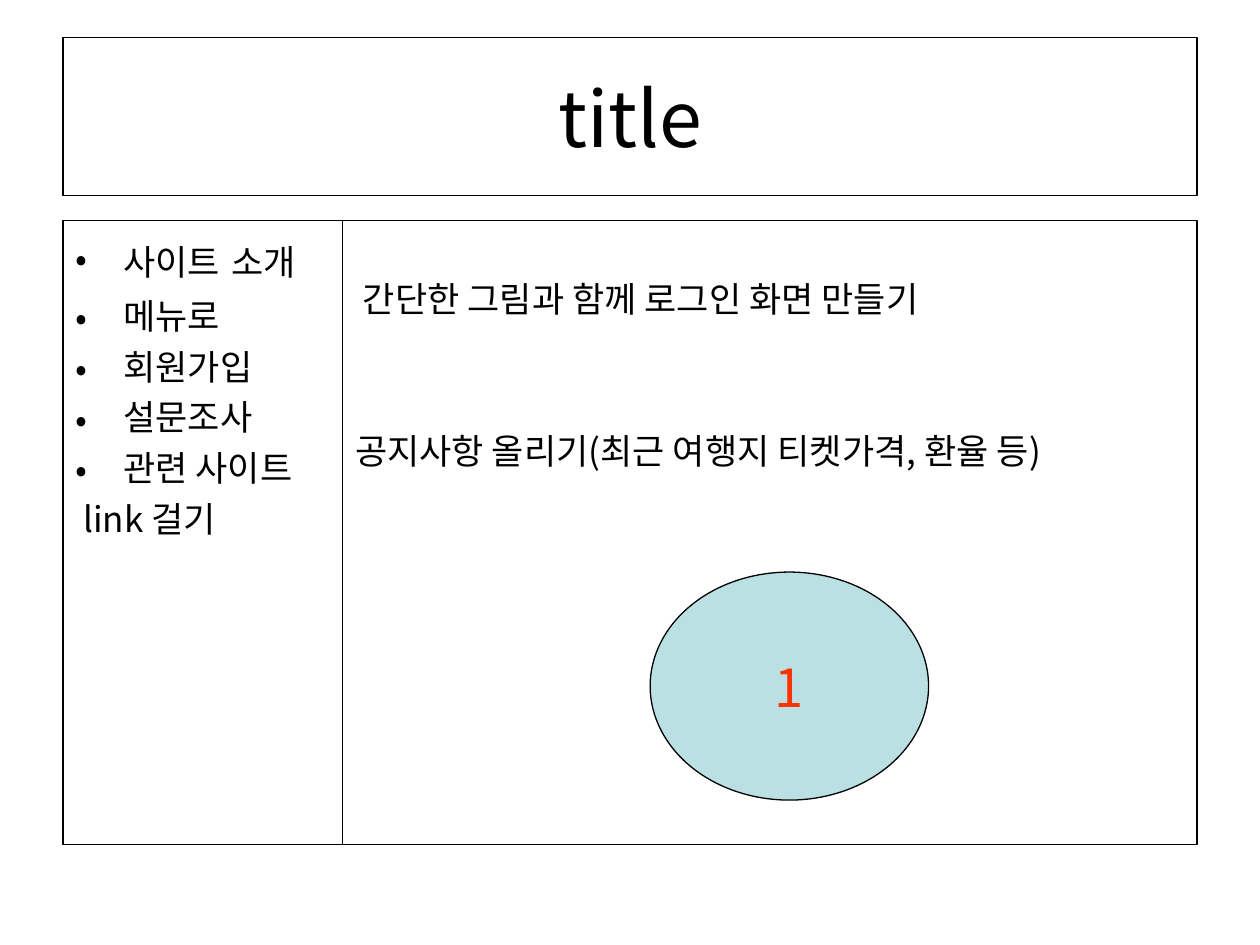
from dataclasses import dataclass

from lxml import etree
from pptx import Presentation
from pptx import util as u
from pptx.dml.color import RGBColor
from pptx.enum import shapes, text
from pptx.oxml import ns


@dataclass(frozen=True)
class Theme:
    font: str = "Noto Sans CJK KR"
    ink: str = "000000"
    accent: str = "FF3300"
    bubble: str = "BBE0E3"
    title_size: float = 44
    number_size: float = 30
    wide_space_size: float = 28
    body_size: float = 20
    border: float = 0.75
    hanging: float = 0.38
    space_before: float = 5


def add_child(parent, tag, **attributes):
    return etree.SubElement(parent, ns.qn(tag), attributes)


class Page:
    def __init__(self, slide, theme):
        self.slide = slide
        self.theme = theme

    def box(self, kind, left, top, width, height, fill=None, **frame_format):
        """Add an outlined shape and return its text frame."""
        shape = self.slide.shapes.add_shape(
            kind, *map(u.Inches, (left, top, width, height)))
        shape.shadow.inherit = False
        if fill:
            shape.fill.solid()
            shape.fill.fore_color.rgb = RGBColor.from_string(fill)
        else:
            shape.fill.background()
        shape.line.color.rgb = RGBColor.from_string(self.theme.ink)
        shape.line.width = u.Pt(self.theme.border)
        settings = {
            "word_wrap": True,
            "vertical_anchor": text.MSO_ANCHOR.TOP,
            "margin_left": u.Inches(0.1),
            "margin_right": u.Inches(0.1),
            "margin_top": u.Inches(0.05),
            "margin_bottom": u.Inches(0.05),
        } | frame_format
        for name, value in settings.items():
            setattr(shape.text_frame, name, value)
        return shape.text_frame

    def span(self, para, words, size, color=None):
        run = para.add_run()
        run.text = words
        for name, value in {"name": self.theme.font, "size": u.Pt(size)}.items():
            setattr(run.font, name, value)
        run.font.color.rgb = RGBColor.from_string(color or self.theme.ink)
        add_child(run.font._element, "a:ea", typeface=self.theme.font)

    def label(self, frame, words, size, color=None):
        para = frame.paragraphs[0]
        para.alignment = text.PP_ALIGN.CENTER
        self.span(para, words, size, color)

    def line(self, frame, spans, bullet=False, space_before=None):
        """Add a hanging paragraph made of (words, size) spans."""
        first = frame.paragraphs[0]
        para = frame.add_paragraph() if first.runs else first
        settings = {
            "alignment": text.PP_ALIGN.LEFT,
            "space_before": u.Pt(space_before or self.theme.space_before),
        }
        for name, value in settings.items():
            setattr(para, name, value)
        hanging = u.Inches(self.theme.hanging)
        properties = para._p.get_or_add_pPr()
        properties.set("marL", str(hanging))
        properties.set("indent", str(-hanging))
        if bullet:
            color = add_child(properties, "a:buClr")
            add_child(color, "a:srgbClr", val=self.theme.ink)
            add_child(properties, "a:buFont", typeface=self.theme.font)
            add_child(properties, "a:buChar", char="•")
        for words, size in spans:
            self.span(para, words, size)


def main():
    theme = Theme()
    deck = Presentation()
    deck.slide_width, deck.slide_height = u.Inches(10), u.Inches(7.5)
    page = Page(deck.slides.add_slide(deck.slide_layouts[6]), theme)
    rectangle, oval = shapes.MSO_SHAPE.RECTANGLE, shapes.MSO_SHAPE.OVAL
    middle = text.MSO_ANCHOR.MIDDLE

    left, width, menu_width = 0.5, 9, 2.22
    panel_top, panel_height = 1.75, 4.95
    body = theme.body_size

    title = page.box(rectangle, left, 0.3, width, 1.25, vertical_anchor=middle)
    page.label(title, "title", theme.title_size)

    menu = page.box(rectangle, left, panel_top, menu_width, panel_height)
    page.line(menu, [("사이트", body), (" ", theme.wide_space_size),
                     ("소개", body)], bullet=True)
    for item in ("메뉴로", "회원가입", "설문조사", "관련 사이트"):
        page.line(menu, [(item, body)], bullet=True)
    page.line(menu, [(" link 걸기", body)])

    content = page.box(rectangle, left + menu_width, panel_top,
                       width - menu_width, panel_height,
                       margin_top=u.Inches(0.45))
    page.line(content, [(" 간단한 그림과 함께 로그인 화면 만들기", body)])
    page.line(content, [("공지사항 올리기(최근 여행지 티켓가격, 환율 등)", body)],
              space_before=63)

    bubble = page.box(oval, 5.16, 4.54, 2.21, 1.81, fill=theme.bubble,
                      vertical_anchor=middle, word_wrap=False)
    page.label(bubble, "1", theme.number_size, theme.accent)

    deck.save("out.pptx")


if __name__ == "__main__":
    main()
